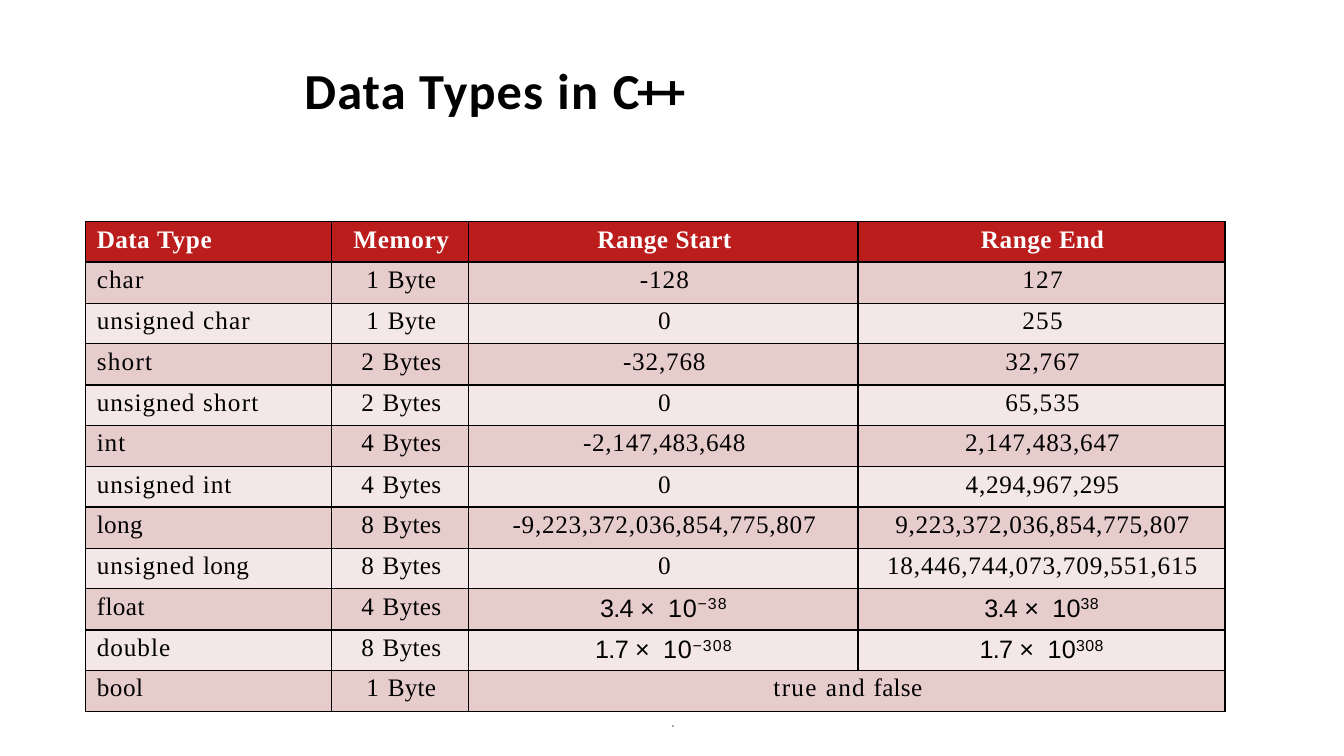
"""Build a slide with a table of the C++ data types and their ranges."""
from dataclasses import dataclass
from typing import Any

from lxml import etree
from pptx import Presentation
from pptx import util as u
from pptx.dml.color import RGBColor
from pptx.enum import text
from pptx.oxml import ns

EMU_PER_PX = 9144
BLACK = RGBColor(0x00, 0x00, 0x00)
WHITE = RGBColor(0xFF, 0xFF, 0xFF)
GREY = RGBColor(0x8C, 0x8C, 0x8C)
HEADER_RED = RGBColor(0xBB, 0x1C, 0x1C)
BAND_FILLS = (RGBColor(0xF4, 0xE7, 0xE7), RGBColor(0xE7, 0xCC, 0xCC))
LEFT, CENTER = text.PP_ALIGN.LEFT, text.PP_ALIGN.CENTER
MIDDLE = text.MSO_ANCHOR.MIDDLE
COLUMN_WIDTHS = (244, 136, 386, 364)

WORD_SPACING = {
    "Data": 0.3, "Type": 0.5, "Memory": 0.5, "Range": 0.4, "Start": 0.2, "End": 0,
    "unsigned": 0.7, "char": 0.8, "int": 0.7, "long": 0.3, "float": 0.3,
    "double": 0.7, "bool": 0.4, "Byte": 0.2, "Bytes": 0.2, "true": 1, "false": 0.2,
    "0": 0, "-128": 0.7, "-32,768": 0.6, "32,767": 0.7, "65,535": 0.7,
    "-2,147,483,648": 0.5, "2,147,483,647": 0.6, "4,294,967,295": 0.5,
    "-9,223,372,036,854,775,807": 0.5, "9,223,372,036,854,775,807": 0.5,
    "18,446,744,073,709,551,615": 0.6,
}
DEFAULT_SPACING = 0.9


@dataclass(frozen=True)
class Run:
    """A stretch of text with its letter spacing in points."""
    text: str
    spacing: float
    size: float = 18
    font: str = "Times New Roman"
    baseline: int = 0


@dataclass(frozen=True)
class Power:
    """A number in scientific notation."""
    mantissa: str
    exponent: str
    base_spacing: float
    exponent_spacing: float


@dataclass(frozen=True)
class DataType:
    """One row of the table."""
    name: str
    memory: str
    start: str | Power
    end: str | Power = ""


HEADER = DataType("Data Type", "Memory", "Range Start", "Range End")
DATA_TYPES = (
    DataType("char", "1 Byte", "-128", "127"),
    DataType("unsigned char", "1 Byte", "0", "255"),
    DataType("short", "2 Bytes", "-32,768", "32,767"),
    DataType("unsigned short", "2 Bytes", "0", "65,535"),
    DataType("int", "4 Bytes", "-2,147,483,648", "2,147,483,647"),
    DataType("unsigned int", "4 Bytes", "0", "4,294,967,295"),
    DataType("long", "8 Bytes", "-9,223,372,036,854,775,807", "9,223,372,036,854,775,807"),
    DataType("unsigned long", "8 Bytes", "0", "18,446,744,073,709,551,615"),
    DataType("float", "4 Bytes", Power("3.4", "−38", 0.5, 0.8), Power("3.4", "38", 0.1, 0.2)),
    DataType("double", "8 Bytes", Power("1.7", "−308", 0.5, 0.8), Power("1.7", "308", 0.2, 0.3)),
    DataType("bool", "1 Byte", "true and false"),
)
TITLE_RUNS = (
    Run("Data Types ", 0.8, 36, "Calibri"),
    Run("in ", 1.1, 36, "Calibri"),
    Run("C++", -1.8, 36, "Calibri"),
)
FOOTER_RUNS = (Run(".", -0.7, 12, "Calibri"),)


def px(length: int) -> u.Emu:
    """Turn px into EMU."""
    return u.Emu(length * EMU_PER_PX)


def apply_format(target: Any, values: dict[str, Any]) -> None:
    """Set every attribute named in the format values."""
    for name, value in values.items():
        setattr(target, name, value)


def runs_for(content: str | Power) -> tuple[Run, ...]:
    """Split cell content into runs with their own letter spacing."""
    if isinstance(content, Power):
        return (
            Run(f"{content.mantissa} ", -0.5, font="Arial"),
            Run("× ", 2.3, font="Arial"),
            Run("10", content.base_spacing, font="Arial"),
            Run(content.exponent, content.exponent_spacing, 19.5, "Arial", 28),
        )
    words = content.split()
    return tuple(
        Run(word + (" " if index < len(words) - 1 else ""),
            WORD_SPACING.get(word, DEFAULT_SPACING))
        for index, word in enumerate(words)
    )


def write_runs(paragraph: Any, runs: tuple[Run, ...], color: RGBColor, bold: bool,
               indent: int, layout: dict[str, Any]) -> None:
    """Write the runs into a paragraph and format it."""
    apply_format(paragraph, layout)
    properties = paragraph._p.get_or_add_pPr()
    properties.set("marL", str(px(indent)))
    properties.set("indent", "0")
    for item in runs:
        run = paragraph.add_run()
        run.text = item.text
        apply_format(run.font, {"name": item.font, "size": u.Pt(item.size), "bold": bold})
        run.font.color.rgb = color
        run_properties = run._r.get_or_add_rPr()
        run_properties.set("spc", str(round(item.spacing * 100)))
        if item.baseline:
            run_properties.set("baseline", str(item.baseline * 1000))


def add_borders(cell: Any) -> None:
    """Draw a thin black line on each side of a cell."""
    properties = cell._tc.get_or_add_tcPr()
    for side in ("lnL", "lnR", "lnT", "lnB"):
        line = etree.SubElement(properties, ns.qn(f"a:{side}"), w=str(u.Pt(1)))
        fill = etree.SubElement(line, ns.qn("a:solidFill"))
        etree.SubElement(fill, ns.qn("a:srgbClr"), val=str(BLACK))


def add_title(slide: Any) -> None:
    """Place and fill the title placeholder."""
    title = slide.shapes.title
    apply_format(title, {"left": px(301), "top": px(57), "width": px(522), "height": px(62)})
    apply_format(title.text_frame, {
        "margin_left": 0, "margin_top": px(1), "margin_right": 0, "margin_bottom": 0,
        "vertical_anchor": MIDDLE, "auto_size": text.MSO_AUTO_SIZE.NONE, "word_wrap": True})
    write_runs(title.text_frame.paragraphs[0], TITLE_RUNS, BLACK, True, 1,
               {"alignment": LEFT, "space_before": u.Pt(0.9)})


def add_footer(slide: Any) -> None:
    """Add the small footer text."""
    footer = slide.shapes.add_textbox(px(442), px(695), px(450), px(40))
    apply_format(footer.text_frame, {
        "margin_left": 0, "margin_top": 0, "margin_right": 0, "margin_bottom": 0,
        "vertical_anchor": MIDDLE, "word_wrap": True})
    write_runs(footer.text_frame.paragraphs[0], FOOTER_RUNS, GREY, False, 1,
               {"alignment": CENTER, "line_spacing": u.Pt(14.8)})


def add_type_table(slide: Any) -> None:
    """Add the table of data types."""
    rows = (HEADER, *DATA_TYPES)
    table = slide.shapes.add_table(
        len(rows), len(COLUMN_WIDTHS), px(85), px(220), px(sum(COLUMN_WIDTHS)), px(486)).table
    apply_format(table, {"first_row": False, "horz_banding": False})
    for column, width in zip(table.columns, COLUMN_WIDTHS):
        column.width = px(width)
    for row_index, data_type in enumerate(rows):
        is_header = row_index == 0
        table.rows[row_index].height = px(40 + row_index % 2)
        contents = (data_type.name, data_type.memory, data_type.start, data_type.end)
        for column_index, content in enumerate(contents):
            cell = table.cell(row_index, column_index)
            add_borders(cell)
            apply_format(cell, {"margin_left": 0, "margin_top": px(4),
                                "margin_right": 0, "margin_bottom": 0})
            cell.fill.solid()
            cell.fill.fore_color.rgb = HEADER_RED if is_header else BAND_FILLS[row_index % 2]
            is_name = column_index == 0
            indent = 11 if is_name else 0 if isinstance(content, Power) else 2
            write_runs(cell.text_frame.paragraphs[0], runs_for(content),
                       WHITE if is_header else BLACK, is_header, indent,
                       {"alignment": LEFT if is_name else CENTER, "space_before": u.Pt(3.1)})
    last_row = len(rows) - 1
    table.cell(last_row, 2).merge(table.cell(last_row, 3))


def main() -> None:
    """Build and save the presentation."""
    presentation = Presentation()
    apply_format(presentation, {"slide_width": px(1333), "slide_height": px(750)})
    slide = presentation.slides.add_slide(presentation.slide_layouts[5])
    add_title(slide)
    add_footer(slide)
    add_type_table(slide)
    presentation.save("out.pptx")


if __name__ == "__main__":
    main()
